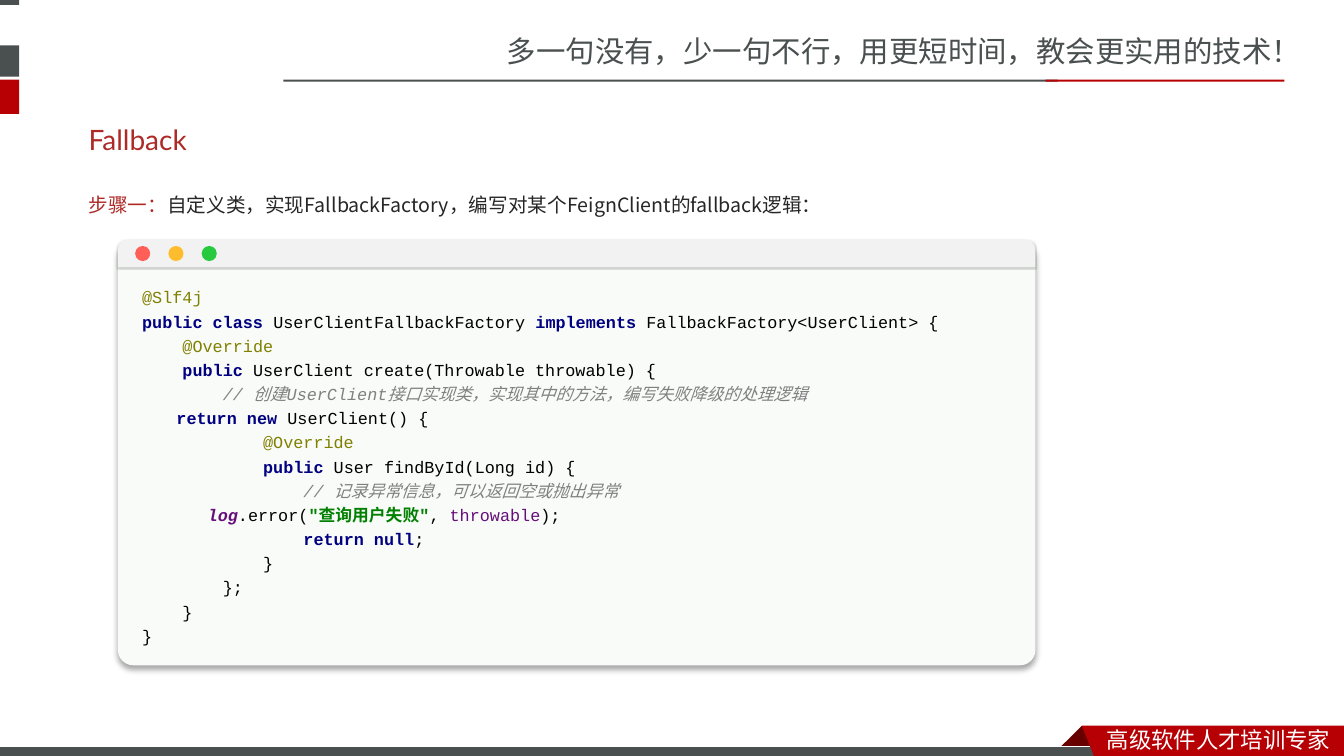
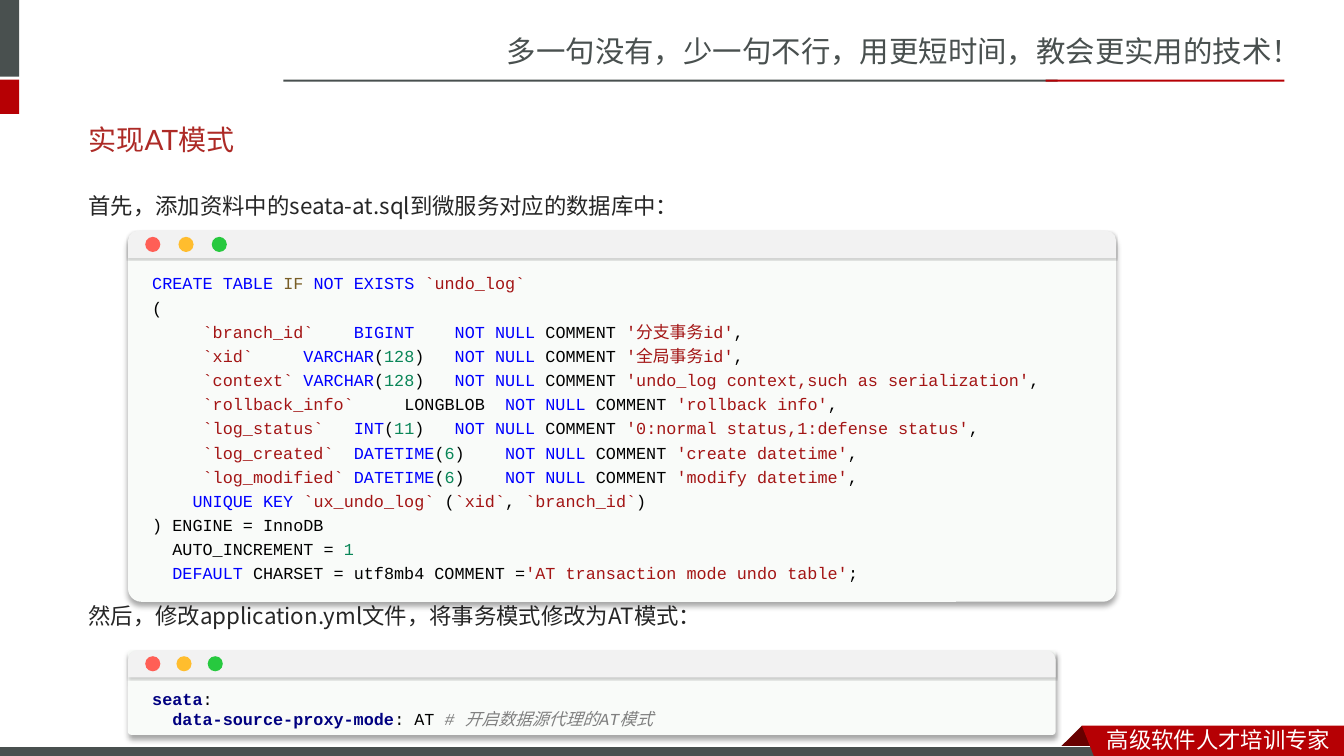
"""Build two training slides that show code in window-style panels."""
import dataclasses

import lxml.etree
import pptx
import pptx.dml.color
import pptx.enum.shapes
import pptx.enum.text
import pptx.oxml.ns
import pptx.util

Inches = pptx.util.Inches
Shape = pptx.enum.shapes.MSO_SHAPE
qn = pptx.oxml.ns.qn


@dataclasses.dataclass(frozen=True)
class Theme:
    white: str = "FFFFFF"
    slate: str = "49504F"
    red: str = "B60004"
    fold: str = "680000"
    heading: str = "AD2A26"
    body: str = "262626"
    black: str = "000000"
    panel: str = "F9FBF9"
    panel_bar: str = "F2F2F2"
    buttons: tuple = ("FF5F56", "FFBD2E", "27C93F")
    cjk_font: str = "Noto Sans CJK SC"
    body_font: str = "Noto Sans CJK JP"
    heading_font: str = "Lato"
    code_font: str = "Courier New"
    slogan_size: int = 21
    heading_size: int = 20
    footer_size: int = 16
    body_size: int = 16
    step_size: int = 14
    code_size: int = 12
    code_char: float = 0.1
    syntax: dict = dataclasses.field(default_factory=lambda: {
        "plain": ("000000", False, False),
        "annotation": ("808000", False, False),
        "keyword": ("000080", True, False),
        "comment": ("808080", False, True),
        "logger": ("660E7A", True, True),
        "argument": ("660E7A", False, False),
        "text": ("008000", True, False),
        "sql": ("0000FF", False, False),
        "sql_if": ("795E26", False, False),
        "name": ("A31515", False, False),
        "number": ("098658", False, False),
    })


class Deck:
    def __init__(self, theme):
        self.theme = theme
        self.presentation = pptx.Presentation()
        self.presentation.slide_width = Inches(13.33)
        self.presentation.slide_height = Inches(7.5)
        self.slide = None

    def color(self, value):
        return pptx.dml.color.RGBColor.from_string(value)

    def finish(self, shape, fill, line=None):
        shape.shadow.inherit = False
        shape.fill.solid()
        shape.fill.fore_color.rgb = self.color(fill)
        if line:
            shape.line.color.rgb = self.color(line)
            shape.line.width = pptx.util.Pt(0.75)
        else:
            shape.line.fill.background()
        return shape

    def block(self, box, fill, kind=Shape.RECTANGLE, line=None):
        shape = self.slide.shapes.add_shape(kind, *map(Inches, box))
        return self.finish(shape, fill, line)

    def polygon(self, points, fill):
        start, *rest = [(Inches(x), Inches(y)) for x, y in points]
        builder = self.slide.shapes.build_freeform(*start, scale=1.0)
        builder.add_line_segments(rest, close=True)
        return self.finish(builder.convert_to_shape(), fill)

    def drop_shadow(self, shape, opacity, blur, distance):
        effects = shape._element.spPr.find(qn("a:effectLst"))
        shadow = lxml.etree.SubElement(
            effects, qn("a:outerShdw"), blurRad=str(pptx.util.Pt(blur)),
            dist=str(pptx.util.Pt(distance)), dir="5400000", algn="t", rotWithShape="0")
        tint = lxml.etree.SubElement(shadow, qn("a:srgbClr"), val=self.theme.black)
        lxml.etree.SubElement(tint, qn("a:alpha"), val=str(opacity * 1000))

    def frame(self, box):
        frame = self.slide.shapes.add_textbox(*map(Inches, box)).text_frame
        frame.word_wrap = True
        return frame

    def style(self, paragraph, font, size, color=None):
        paragraph.font.name = font
        paragraph.font.size = pptx.util.Pt(size)
        if color:
            paragraph.font.color.rgb = self.color(color)
        asian = self.theme.cjk_font if font != self.theme.body_font else font
        defaults = paragraph._p.pPr.find(qn("a:defRPr"))
        lxml.etree.SubElement(defaults, qn("a:ea"), typeface=asian)

    def text(self, box, content, font, size, color):
        frame = self.frame(box)
        frame.text = content
        self.style(frame.paragraphs[0], font, size, color)
        return frame

    def add_slide(self, heading):
        theme = self.theme
        self.slide = self.presentation.slides.add_slide(self.presentation.slide_layouts[6])
        self.text((4.93, 0.28, 8.4, 0.47), "多一句没有，少一句不行，用更短时间，教会更实用的技术！",
                  theme.cjk_font, theme.slogan_size, theme.slate)
        self.block((0, 0, 0.19, 0.76), theme.slate)
        self.block((0, 0.79, 0.19, 0.34), theme.red)
        self.block((2.81, 0.79, 7.68, 0.02), theme.slate)
        self.block((10.37, 0.79, 2.37, 0.02), theme.red)
        self.polygon([(10.73, 7.2), (10.95, 7.42), (10.94, 7.43), (10.52, 7.43), (10.51, 7.42)],
                     theme.fold)
        self.block((-0.01, 7.41, 11, 0.12), theme.slate, line=theme.white)
        self.polygon([(10.73, 7.2), (13.33, 7.2), (13.33, 7.5), (10.85, 7.5)], theme.red)
        self.text((10.88, 7.15, 2.45, 0.37), "高级软件人才培训专家",
                  theme.cjk_font, theme.footer_size, theme.white)
        title = self.text((0.78, 1.1, 11.7, 0.57), heading,
                          theme.heading_font, theme.heading_size, theme.heading)
        title.vertical_anchor = pptx.enum.text.MSO_ANCHOR.MIDDLE

    def body(self, top, content, size, lead=""):
        box = (0.78, top, 11.7, 0.45)
        if not lead:
            self.text(box, content, self.theme.body_font, size, self.theme.body)
            return
        paragraph = self.frame(box).paragraphs[0]
        self.style(paragraph, self.theme.body_font, size)
        for part, color in ((lead, self.theme.heading), (content, self.theme.body)):
            run = paragraph.add_run()
            run.text = part
            run.font.color.rgb = self.color(color)

    def code_line(self, paragraph, indent, tokens, spacing, tabs):
        paragraph.line_spacing = spacing
        properties = paragraph._p.get_or_add_pPr()
        properties.set("marL", str(Inches(indent * self.theme.code_char)))
        properties.set("indent", "0")
        if tabs:
            stops = lxml.etree.SubElement(properties, qn("a:tabLst"))
            for column in tabs:
                lxml.etree.SubElement(stops, qn("a:tab"), algn="l",
                                      pos=str(Inches(column * self.theme.code_char)))
        self.style(paragraph, self.theme.code_font, self.theme.code_size)
        for token, content in tokens:
            color, bold, italic = self.theme.syntax[token]
            run = paragraph.add_run()
            run.text = content
            run.font.color.rgb = self.color(color)
            run.font.bold = bold
            run.font.italic = italic

    def code_panel(self, box, lines, code_top=0.33, button_step=0.33, spacing=1.2, tabs=()):
        left, top, width, height = box
        window = self.block(box, self.theme.panel, Shape.ROUNDED_RECTANGLE)
        window.adjustments[0] = 0.036
        self.drop_shadow(window, 34, 4, 3)
        frame = self.frame((left, top + code_top, width, height - code_top))
        frame.margin_left = frame.margin_right = Inches(0.24)
        for number, (indent, *tokens) in enumerate(lines):
            paragraph = frame.add_paragraph() if number else frame.paragraphs[0]
            tabbed = any("\t" in content for _, content in tokens)
            self.code_line(paragraph, indent, tokens, spacing, tabs if tabbed else ())
        bar = self.block((left, top, width, 0.27), self.theme.panel_bar,
                         Shape.ROUND_2_SAME_RECTANGLE)
        bar.adjustments[0] = 0.36
        self.drop_shadow(bar, 20, 1, 1)
        for number, color in enumerate(self.theme.buttons):
            self.block((left + 0.17 + number * button_step, top + 0.06, 0.15, 0.15),
                       color, Shape.OVAL)


FALLBACK_CODE = [
    (0, ("annotation", "@Slf4j")),
    (0, ("keyword", "public class "), ("plain", "UserClientFallbackFactory "),
     ("keyword", "implements "), ("plain", "FallbackFactory<UserClient> {")),
    (4, ("annotation", "@Override")),
    (4, ("keyword", "public "), ("plain", "UserClient create(Throwable throwable) {")),
    (8, ("comment", "// 创建UserClient接口实现类，实现其中的方法，编写失败降级的处理逻辑")),
    (3.4, ("keyword", "return new "), ("plain", "UserClient() {")),
    (12, ("annotation", "@Override")),
    (12, ("keyword", "public "), ("plain", "User findById(Long id) {")),
    (16, ("comment", "// 记录异常信息，可以返回空或抛出异常")),
    (6.5, ("logger", "log"), ("plain", ".error("), ("text", '"查询用户失败"'),
     ("plain", ", "), ("argument", "throwable"), ("plain", ");")),
    (16, ("keyword", "return null"), ("plain", ";")),
    (12, ("plain", "}")),
    (8, ("plain", "};")),
    (4, ("plain", "}")),
    (0, ("plain", "}")),
]

UNDO_LOG_COLUMNS = [
    ("branch_id", "BIGINT", "", "分支事务id"),
    ("xid", "VARCHAR", "128", "全局事务id"),
    ("context", "VARCHAR", "128", "undo_log context,such as serialization"),
    ("rollback_info", "LONGBLOB", "", "rollback info"),
    ("log_status", "INT", "11", "0:normal status,1:defense status"),
    ("log_created", "DATETIME", "6", "create datetime"),
    ("log_modified", "DATETIME", "6", "modify datetime"),
]


def column_line(name, kind, size, comment):
    length = [("plain", "("), ("number", size), ("plain", ")")] if size else []
    kind_token = "plain" if kind == "LONGBLOB" else "sql"
    return (0, ("name", f"\t`{name}`"), (kind_token, f"\t{kind}"), *length,
            ("sql", "\tNOT NULL"), ("plain", " COMMENT "), ("name", f"'{comment}'"), ("plain", ","))


UNDO_LOG_CODE = [
    (0, ("sql", "CREATE TABLE "), ("sql_if", "IF "), ("sql", "NOT EXISTS "),
     ("name", "`undo_log`")),
    (0, ("plain", "(")),
    *(column_line(*column) for column in UNDO_LOG_COLUMNS),
    (4, ("sql", "UNIQUE KEY "), ("name", "`ux_undo_log`"), ("plain", " ("),
     ("name", "`xid`"), ("plain", ", "), ("name", "`branch_id`"), ("plain", ")")),
    (0, ("plain", ") ENGINE = InnoDB")),
    (2, ("plain", "AUTO_INCREMENT = "), ("number", "1")),
    (2, ("sql", "DEFAULT"), ("plain", " CHARSET = utf8mb4 COMMENT ="),
     ("name", "'AT transaction mode undo table'"), ("plain", ";")),
]

SEATA_CODE = [
    (0, ("keyword", "seata"), ("plain", ":")),
    (2, ("keyword", "data-source-proxy-mode"), ("plain", ": AT "),
     ("comment", "# 开启数据源代理的AT模式")),
]


def main():
    theme = Theme()
    deck = Deck(theme)

    deck.add_slide("Fallback")
    deck.body(1.86, "自定义类，实现FallbackFactory，编写对某个FeignClient的fallback逻辑：",
              theme.step_size, lead="步骤一：")
    deck.block((0, 0.05, 0.2, 0.4), theme.white)
    deck.code_panel((1.17, 2.38, 9.1, 4.22), FALLBACK_CODE, code_top=0.38)

    deck.add_slide("实现AT模式")
    deck.body(1.86, "首先，添加资料中的seata-at.sql到微服务对应的数据库中：", theme.body_size)
    deck.body(5.92, "然后，修改application.yml文件，将事务模式修改为AT模式：", theme.body_size)
    deck.code_panel((1.27, 2.29, 9.8, 3.68), UNDO_LOG_CODE, tabs=(4, 20, 33))
    deck.code_panel((1.27, 6.45, 9.2, 0.84), SEATA_CODE, button_step=0.31, spacing=1.0)

    deck.presentation.save("out.pptx")


if __name__ == "__main__":
    main()
